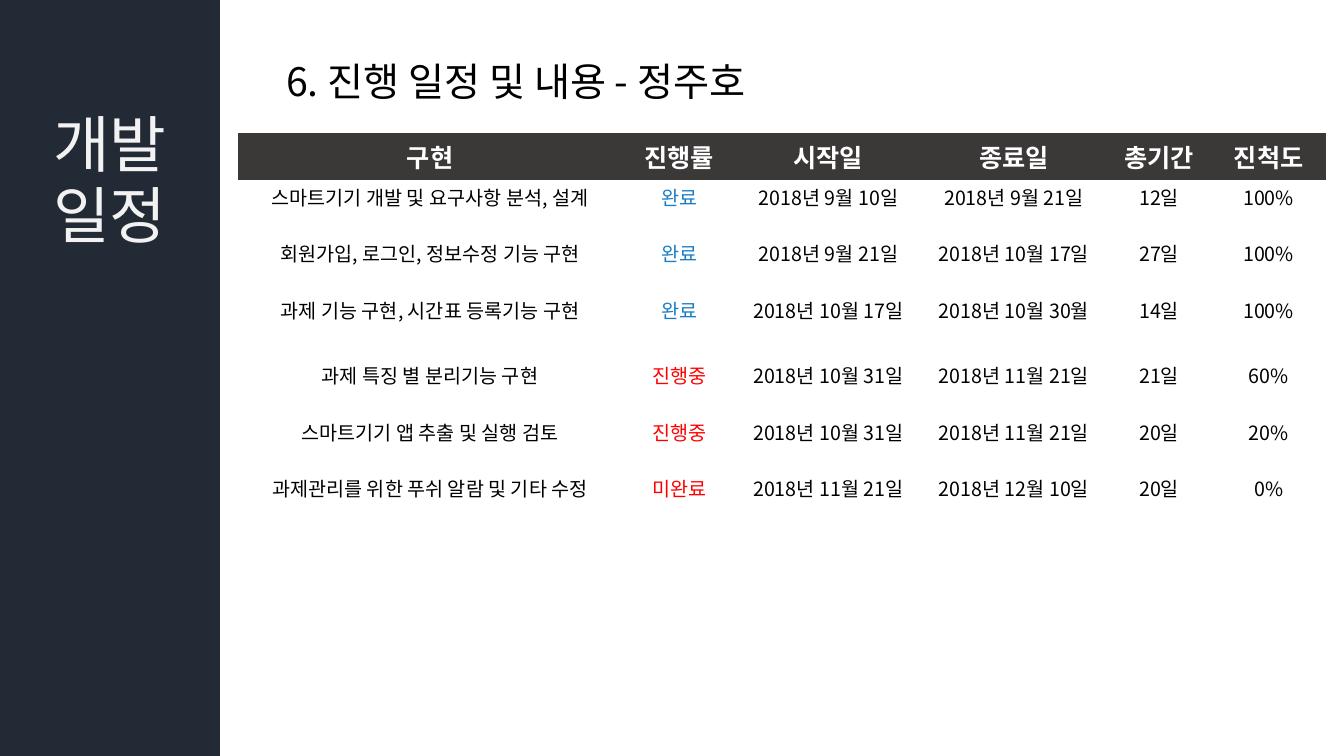
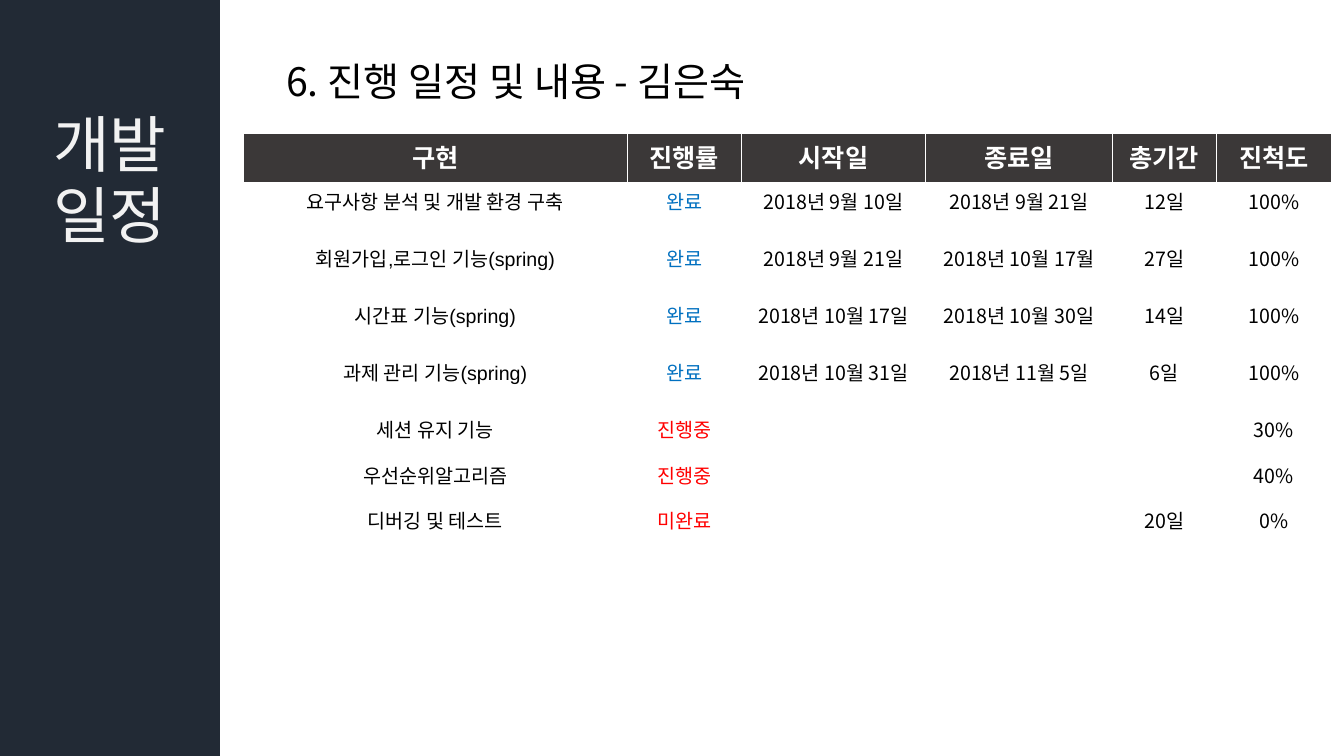
"""Builds two development schedule slides, one per team member."""
import pptx
import pptx.dml.color
import pptx.enum.shapes
import pptx.enum.text
import pptx.oxml.ns
import pptx.util
from lxml import etree

Cm = pptx.util.Cm
Pt = pptx.util.Pt
RGBColor = pptx.dml.color.RGBColor
PP_ALIGN = pptx.enum.text.PP_ALIGN
MSO_ANCHOR = pptx.enum.text.MSO_ANCHOR
qn = pptx.oxml.ns.qn

NAVY = RGBColor(0x22, 0x2A, 0x35)
CHARCOAL = RGBColor(0x3B, 0x38, 0x38)
WHITE = RGBColor(0xFF, 0xFF, 0xFF)
PALE = RGBColor(0xF2, 0xF2, 0xF2)
BLACK = RGBColor(0x00, 0x00, 0x00)
RED = RGBColor(0xFF, 0x00, 0x00)
SKY = RGBColor(0x19, 0x7E, 0xC6)
BLUE = RGBColor(0x00, 0x70, 0xC0)

KOREAN_FONT = "Noto Sans CJK KR"
PLAIN_TABLE_STYLE = "{2D5ABB26-0587-4C30-8999-92F81FD0307C}"
SIDEBAR_LINES = ["개발", "일정"]
HEADINGS = ["구현", "진행률", "시작일", "종료일", "총기간", "진척도"]
COLUMN_WIDTHS = [9.68, 2.87, 4.65, 4.7, 2.62, 2.9]

SCHEDULES = [
    {
        "title": "6. 진행 일정 및 내용 - 정주호",
        "left": 6.0,
        "task_font": KOREAN_FONT,
        "done_color": SKY,
        "gridlines": False,
        "heights": [1.17, 1.43, 1.43, 1.63, 1.43, 1.43, 1.43],
        "tasks": [
            ("스마트기기 개발 및 요구사항 분석, 설계", "완료", "2018년 9월 10일", "2018년 9월 21일", "12일", "100%"),
            ("회원가입, 로그인, 정보수정 기능 구현", "완료", "2018년 9월 21일", "2018년 10월 17일", "27일", "100%"),
            ("과제 기능 구현, 시간표 등록기능 구현", "완료", "2018년 10월 17일", "2018년 10월 30월", "14일", "100%"),
            ("과제 특징 별 분리기능 구현", "진행중", "2018년 10월 31일", "2018년 11월 21일", "21일", "60%"),
            ("스마트기기 앱 추출 및 실행 검토", "진행중", "2018년 10월 31일", "2018년 11월 21일", "20일", "20%"),
            ("과제관리를 위한 푸쉬 알람 및 기타 수정", "미완료", "2018년 11월 21일", "2018년 12월 10일", "20일", "0%"),
        ],
    },
    {
        "title": "6. 진행 일정 및 내용 - 김은숙",
        "left": 6.13,
        "task_font": "Arial",
        "done_color": BLUE,
        "gridlines": True,
        "heights": [1.28] + [1.44] * 4 + [1.14] * 3,
        "tasks": [
            ("요구사항 분석 및 개발 환경 구축", "완료", "2018년 9월 10일", "2018년 9월 21일", "12일", "100%"),
            ("회원가입,로그인 기능(spring)", "완료", "2018년 9월 21일", "2018년 10월 17월", "27일", "100%"),
            ("시간표 기능(spring)", "완료", "2018년 10월 17일", "2018년 10월 30일", "14일", "100%"),
            ("과제 관리 기능(spring)", "완료", "2018년 10월 31일", "2018년 11월 5일", "6일", "100%"),
            ("세션 유지 기능", "진행중", "", "", "", "30%"),
            ("우선순위알고리즘", "진행중", "", "", "", "40%"),
            ("디버깅 및 테스트", "미완료", "", "", "20일", "0%"),
        ],
    },
]


def write(paragraph, text, size=14, color=BLACK, font=KOREAN_FONT, bold=False,
          align=PP_ALIGN.CENTER, spacing=1.0):
    """Add one formatted run of text to a paragraph."""
    paragraph.alignment = align
    paragraph.line_spacing = spacing
    run = paragraph.add_run()
    run.text = text
    run.font.size = Pt(size)
    run.font.bold = bold
    run.font.color.rgb = color
    run.font.name = font
    etree.SubElement(run.font._element, qn("a:ea")).set("typeface", KOREAN_FONT)


def add_title(slide, text):
    """Place the slide title to the right of the sidebar."""
    title = slide.shapes.title
    title.left, title.top, title.width, title.height = Cm(6.96), Cm(1.32), Cm(18.5), Cm(1.45)
    frame = title.text_frame
    frame.auto_size = pptx.enum.text.MSO_AUTO_SIZE.NONE
    frame.vertical_anchor = MSO_ANCHOR.MIDDLE
    write(frame.paragraphs[0], text, size=28, align=PP_ALIGN.LEFT)


def add_sidebar(slide, height):
    """Draw the dark band with the section name."""
    sidebar = slide.shapes.add_shape(
        pptx.enum.shapes.MSO_SHAPE.RECTANGLE, 0, 0, Cm(5.54), height)
    sidebar.shadow.inherit = False
    sidebar.fill.solid()
    sidebar.fill.fore_color.rgb = NAVY
    sidebar.line.fill.background()
    frame = sidebar.text_frame
    frame.vertical_anchor = MSO_ANCHOR.TOP
    frame.margin_top = Cm(2.77)
    for index, line in enumerate(SIDEBAR_LINES):
        paragraph = frame.add_paragraph() if index else frame.paragraphs[0]
        write(paragraph, line, size=44, color=PALE, spacing=0.97)


def add_borders(cell, bottom_width):
    """Give a cell white borders, with its own width at the bottom."""
    properties = cell._tc.get_or_add_tcPr()
    widths = {"a:lnL": 1, "a:lnR": 1, "a:lnT": 1, "a:lnB": bottom_width}
    for position, (side, width) in enumerate(widths.items()):
        border = etree.Element(qn(side), w=str(Pt(width)))
        fill = etree.SubElement(border, qn("a:solidFill"))
        etree.SubElement(fill, qn("a:srgbClr"), val=str(WHITE))
        properties.insert(position, border)


def text_format(schedule, row, column, text):
    """Return the text format of a table cell."""
    if row == 0:
        return {"size": 18, "color": WHITE, "bold": True}
    if column == 0:
        return {"font": schedule["task_font"], "spacing": 0.9}
    if column == 1:
        return {"color": schedule["done_color"] if text == "완료" else RED, "spacing": 0.9}
    return {"spacing": 0.9}


def add_schedule(slide, schedule):
    """Add the table of tasks, states and dates."""
    rows = [HEADINGS] + schedule["tasks"]
    heights = schedule["heights"]
    table = slide.shapes.add_table(
        len(rows), len(HEADINGS), Cm(schedule["left"]), Cm(3.35),
        Cm(sum(COLUMN_WIDTHS)), Cm(sum(heights))).table
    table.horz_banding = False
    table._tbl.tblPr.find(qn("a:tableStyleId")).text = PLAIN_TABLE_STYLE
    for column, width in zip(table.columns, COLUMN_WIDTHS):
        column.width = Cm(width)
    for row_index, (values, height) in enumerate(zip(rows, heights)):
        table.rows[row_index].height = Cm(height)
        for column_index, text in enumerate(values):
            cell = table.cell(row_index, column_index)
            cell.fill.solid()
            cell.fill.fore_color.rgb = WHITE if row_index else CHARCOAL
            if row_index:
                cell.margin_bottom = 0
            if schedule["gridlines"]:
                add_borders(cell, 1 if row_index else 3)
            if text:
                write(cell.text_frame.paragraphs[0], text,
                      **text_format(schedule, row_index, column_index, text))


def main():
    """Build and save the presentation."""
    deck = pptx.Presentation()
    deck.slide_width, deck.slide_height = Cm(33.87), Cm(19.05)
    for schedule in SCHEDULES:
        slide = deck.slides.add_slide(deck.slide_layouts[5])
        add_title(slide, schedule["title"])
        add_schedule(slide, schedule)
        add_sidebar(slide, deck.slide_height)
    deck.save("out.pptx")


if __name__ == "__main__":
    main()
